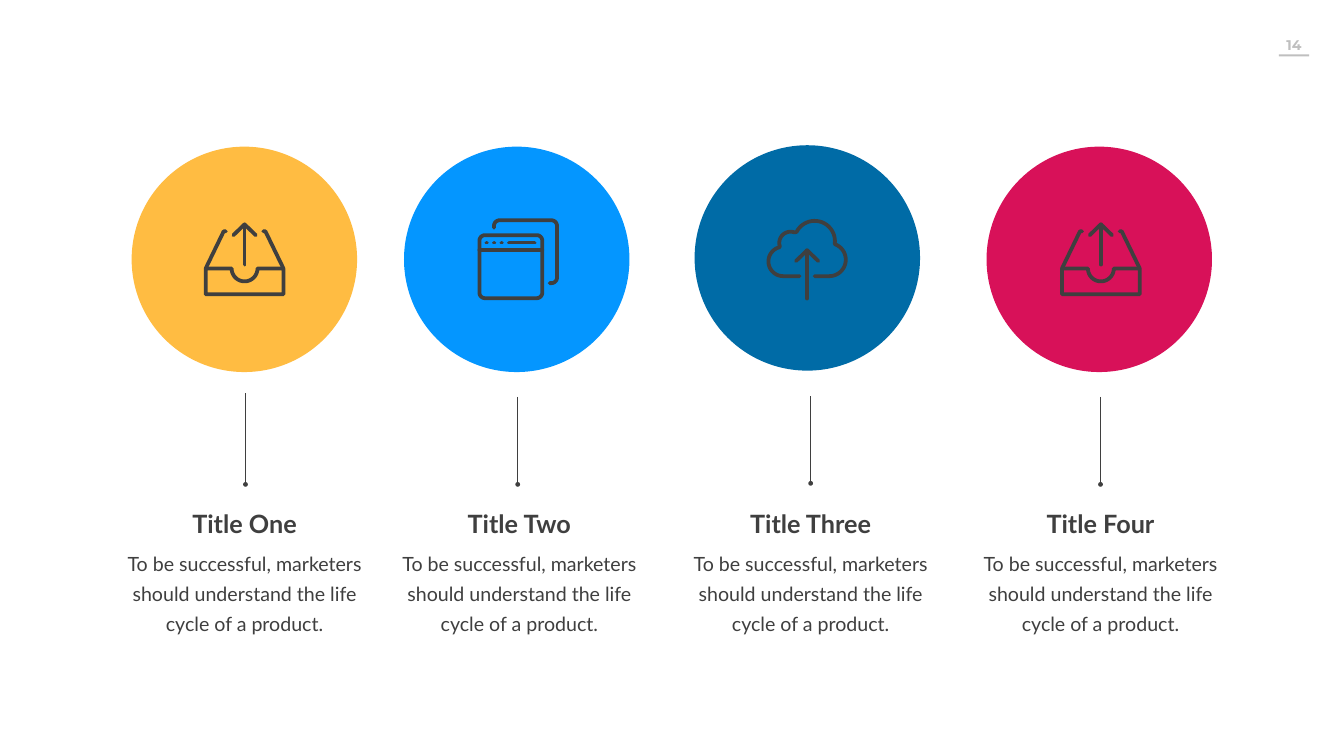
import math
from lxml import etree
from pptx import Presentation, util as u
from pptx.dml.color import RGBColor
from pptx.enum import shapes, text
from pptx.oxml import ns

INK = RGBColor(0x3F, 0x3F, 0x3F)
GREY = RGBColor(0xBF, 0xBF, 0xBF)
AMBER = RGBColor(0xFF, 0xBC, 0x42)
SKY = RGBColor(0x04, 0x96, 0xFF)
NAVY = RGBColor(0x00, 0x6B, 0xA6)
CRIMSON = RGBColor(0xD8, 0x11, 0x59)

BODY = "To be successful, marketers should understand the life cycle of a product."
CIRCLE_SIZE, TEXT_WIDTH, ICON_STROKE = 322, 351.4, 5.4


def arc(x, y, radius, start, end):
    """Points along an arc; degrees run clockwise from the right."""
    steps = max(3, math.ceil(abs(end - start) / 8))
    angles = [math.radians(start + (end - start) * i / steps) for i in range(steps + 1)]
    return [(x + radius * math.cos(a), y + radius * math.sin(a)) for a in angles]


def up_arrow(tip, tail):
    return [[(58.3, tail), (58.3, tip)],
            [(42.3, tip + 15.5), (58.3, tip), (74.3, tip + 15.5)]]


# Icons: open strokes in points from the icon's top left corner
TRAY = [
    [(2.8, 66), *arc(58.3, 66, 18.5, 180, 0), (113.8, 66), (113.8, 103), (2.8, 103), (2.8, 66)],
    [(2.8, 66), (28.5, 13), (31.5, 13)],
    [(113.8, 66), (88.1, 13), (85.1, 13)],
    *up_arrow(3, 60.5),
]
WINDOWS = [
    [(2.7, 45), *arc(10.7, 32, 8, 180, 270), *arc(84.5, 32, 8, 270, 360),
     *arc(84.5, 106, 8, 0, 90), *arc(10.7, 106, 8, 90, 180), (2.7, 45)],
    [(2.7, 45), (92.5, 45)],
    [(45, 34.6), (81.5, 34.6)],
    *[[(x, 34.6), (x + 0.5, 34.6)] for x in (12.8, 23.5, 34.2)],
    [(23.5, 13.5), *arc(31.5, 10.7, 8, 180, 270), *arc(105.5, 10.7, 8, 270, 360),
     *arc(105.5, 84.5, 8, 0, 90), (103, 92.5)],
]
CLOUD = [
    [(47.5, 82), *arc(24, 61, 21, 90, 257), *arc(34.5, 34.5, 16, 165, 290),
     *arc(69, 32, 29, 207, 368), *arc(90, 58.5, 23.5, 294, 450), (69, 82)],
    *up_arrow(45, 114),
]

# title, colour, icon, icon left/top, circle left/top, line x/top/bottom, text left
COLUMNS = [
    ("Title One", AMBER, TRAY, (291, 317.5), (188, 209.5), (350.6, 562, 692), 173.5),
    ("Title Two", SKY, WINDOWS, (682, 312), (577, 209.5), (739.4, 567, 692), 566),
    ("Title Three", NAVY, CLOUD, (1094.5, 312.5), (992, 207.5), (1157.8, 566, 690.5), 982),
    ("Title Four", CRIMSON, TRAY, (1514, 317.5), (1409, 209.5), (1571.8, 567, 692), 1396),
]


def add_text(words, left, top, width, height, size, font="Lato", color=INK,
             bold=False, spacing=None, wrap=True):
    box = page.shapes.add_textbox(u.Pt(left), u.Pt(top), u.Pt(width), u.Pt(height))
    box.text_frame.word_wrap = wrap
    para = box.text_frame.paragraphs[0]
    para.alignment = text.PP_ALIGN.CENTER
    if spacing:
        para.line_spacing = u.Pt(spacing)
    span = para.add_run()
    span.text = words
    span.font.name, span.font.size, span.font.bold = font, u.Pt(size), bold
    span.font.color.rgb = color


def add_filled(preset, left, top, width, height, color):
    shape = page.shapes.add_shape(preset, u.Pt(left), u.Pt(top), u.Pt(width), u.Pt(height))
    shape.shadow.inherit = False
    shape.fill.solid()
    shape.fill.fore_color.rgb = color
    shape.line.fill.background()


def set_line(shape, width):
    shape.line.color.rgb = INK
    shape.line.width = u.Pt(width)
    return shape.line._get_or_add_ln()


def add_stem(x, top, bottom):
    stem = page.shapes.add_connector(shapes.MSO_CONNECTOR.STRAIGHT,
                                     u.Pt(x), u.Pt(top), u.Pt(x), u.Pt(bottom))
    etree.SubElement(set_line(stem, 2.25), ns.qn("a:tailEnd"), type="oval")
    etree.SubElement(stem._element.spPr, ns.qn("a:effectLst"))


def add_icon(strokes, left, top):
    builder = None
    for stroke in strokes:
        points = [(u.Pt(left + x), u.Pt(top + y)) for x, y in stroke]
        if builder is None:
            builder = page.shapes.build_freeform(*points[0])
        else:
            builder.move_to(*points[0])
        builder.add_line_segments(points[1:], close=False)
    icon = builder.convert_to_shape()
    icon.shadow.inherit = False
    icon.fill.background()
    line = set_line(icon, ICON_STROKE)
    line.set("cap", "rnd")
    etree.SubElement(line, ns.qn("a:round"))


deck = Presentation()
deck.slide_width, deck.slide_height = u.Pt(1919.5), u.Pt(1080)
page = deck.slides.add_slide(deck.slide_layouts[6])

# Page number
add_text("14", 1783, 48.2, 130, 32, 20, font="Montserrat", color=GREY, bold=True, wrap=False)
add_filled(shapes.MSO_SHAPE.RECTANGLE, 1826.6, 77.8, 43.2, 2.9, GREY)

# Columns
for title, color, icon, icon_at, circle_at, stem, text_left in COLUMNS:
    add_stem(*stem)
    add_filled(shapes.MSO_SHAPE.OVAL, *circle_at, CIRCLE_SIZE, CIRCLE_SIZE, color)
    add_icon(icon, *icon_at)
    add_text(title, text_left, 723, TEXT_WIDTH, 50.4, 36, bold=True)
    add_text(BODY, text_left, 775.5, TEXT_WIDTH, 136, 28, spacing=43)

deck.save("out.pptx")
